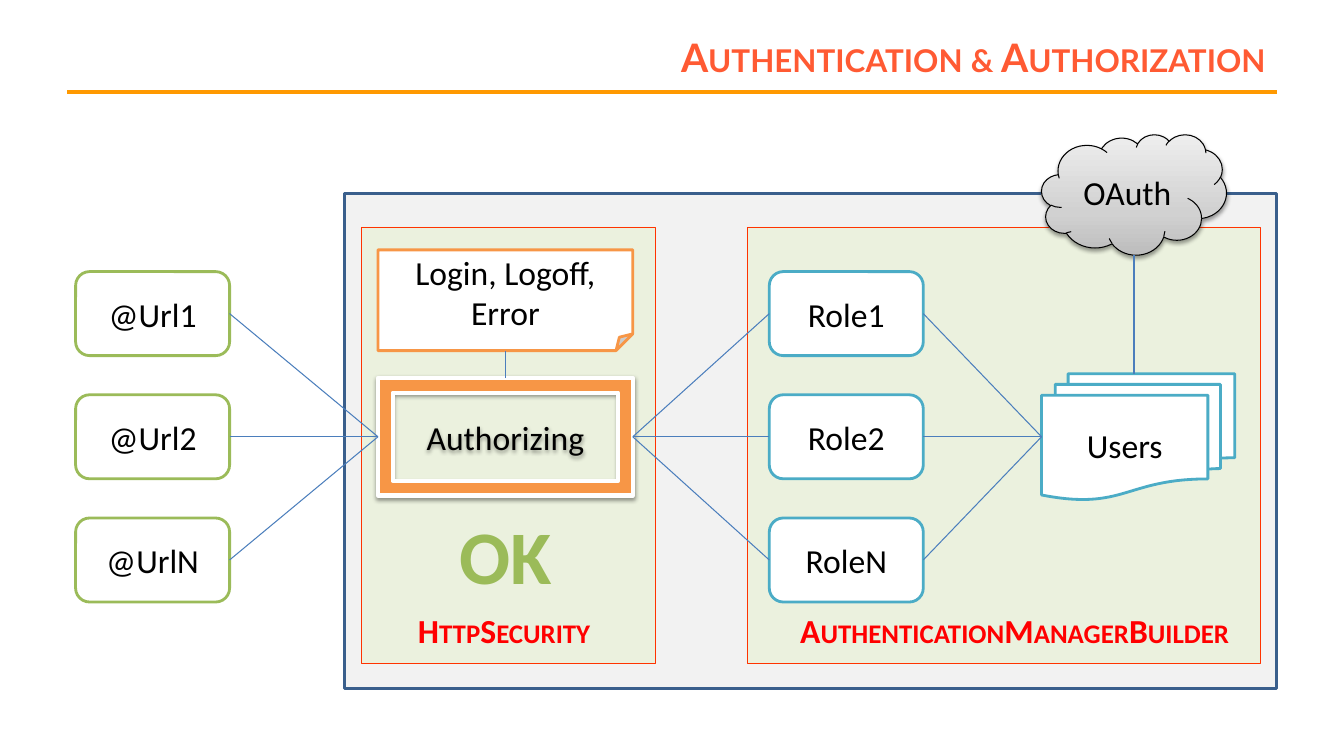
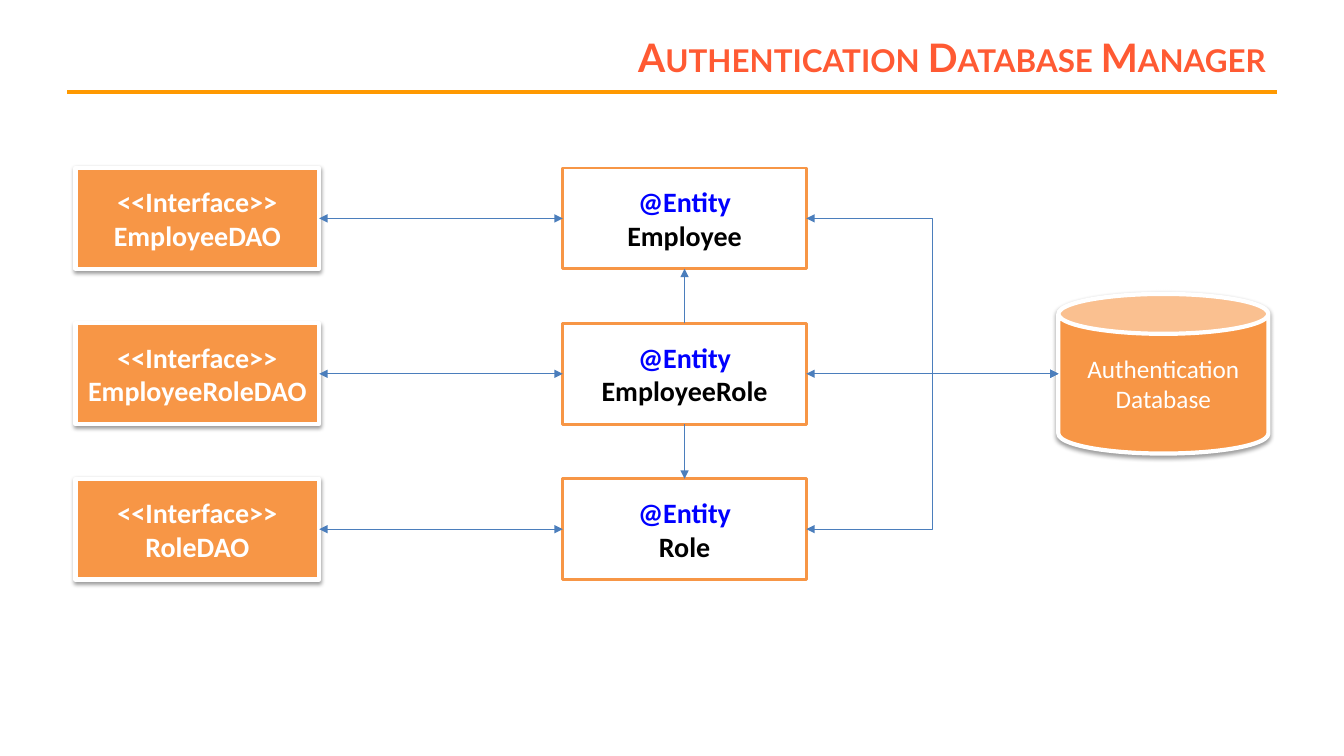
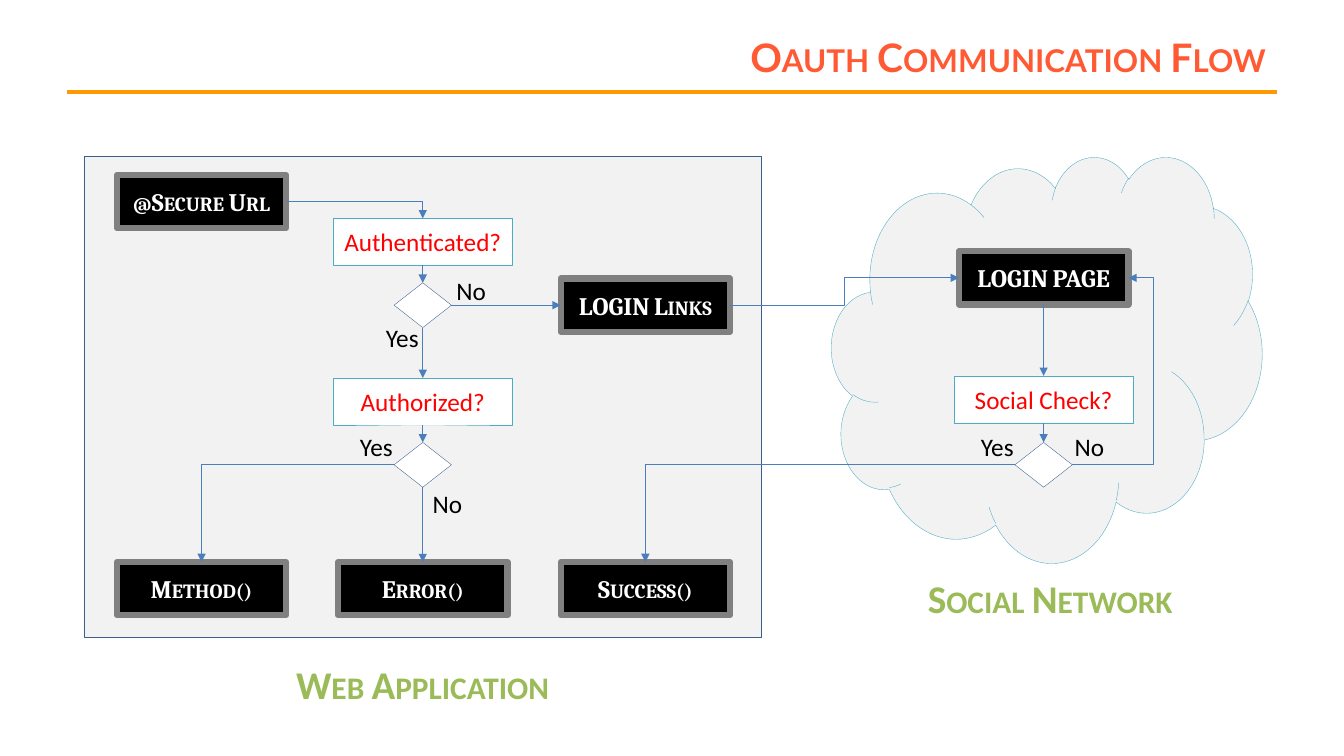
from pptx import Presentation
from pptx.dml.color import RGBColor
from pptx.enum import shapes, text
from pptx.oxml import ns, xmlchemy
from pptx.util import Pt
from copy import deepcopy

WHITE = RGBColor(0xFF, 0xFF, 0xFF)
BLACK = RGBColor(0, 0, 0)
RED = RGBColor(0xFF, 0, 0)
BLUE = RGBColor(0, 0, 0xFF)
VERMILION = RGBColor(0xFF, 0x33, 0)
TITLE_COLOR = RGBColor(0xFF, 0x5A, 0x33)
RULE_COLOR = RGBColor(0xFF, 0x99, 0)
ORANGE = RGBColor(0xF7, 0x96, 0x46)
GREEN = RGBColor(0x9B, 0xBB, 0x59)
PALE_GREEN = RGBColor(0xEB, 0xF1, 0xDE)
TEAL = RGBColor(0x4B, 0xAC, 0xC6)
NAVY = RGBColor(0x3A, 0x5F, 0x8C)
LINK_COLOR = RGBColor(0x4B, 0x7E, 0xBC)
PALE_GRAY = RGBColor(0xF2, 0xF2, 0xF2)
GRAY = RGBColor(0x80, 0x80, 0x80)
CLOUD_STOPS = (
    (0, RGBColor(0xBD, 0xBD, 0xBD)),
    (0.35, RGBColor(0xD1, 0xD1, 0xD1)),
    (1, RGBColor(0xEE, 0xEE, 0xEE)),
)

KIND = shapes.MSO_SHAPE
STRAIGHT = shapes.MSO_CONNECTOR.STRAIGHT
ELBOW = shapes.MSO_CONNECTOR.ELBOW
ALIGN = text.PP_ALIGN
TOP, LEFT, BOTTOM, RIGHT = range(4)
CAN_LEFT_SITE = "2"


def points(*values):
    """Turn numbers into lengths in points."""
    return [Pt(value) for value in values]


def add_child(parent, tag, **attributes):
    """Append a drawing element with the given attributes."""
    child = xmlchemy.OxmlElement(tag)
    for name, value in attributes.items():
        child.set(name, str(value))
    parent.append(child)
    return child


def add_run(paragraph, words, size, color, bold=False, small_caps=False, font="Calibri"):
    """Add one formatted run to a paragraph."""
    run = paragraph.add_run()
    run.text = words
    run.font.name = font
    run.font.size = Pt(size)
    run.font.bold = bold
    run.font.color.rgb = color
    if small_caps:
        run._r.get_or_add_rPr().set("cap", "small")


def add_box(slide, kind, box, fill, line, width, lines=(), shadow=False, **style):
    """Add a preset shape with centred lines of (words, colour)."""
    shape = slide.shapes.add_shape(kind, *points(*box))
    shape.fill.solid()
    shape.fill.fore_color.rgb = fill
    shape.line.color.rgb = line
    shape.line.width = Pt(width)
    shape.shadow.inherit = False
    if shadow:
        effects = shape._element.spPr.find(ns.qn("a:effectLst"))
        outer = add_child(effects, "a:outerShdw", blurRad=Pt(3.1), dist=Pt(1.6),
                          dir=5400000, rotWithShape=0)
        add_child(add_child(outer, "a:srgbClr", val=BLACK), "a:alpha", val=38000)
    frame = shape.text_frame
    frame.vertical_anchor = text.MSO_ANCHOR.MIDDLE
    for index, (words, color) in enumerate(lines):
        paragraph = frame.add_paragraph() if index else frame.paragraphs[0]
        paragraph.alignment = ALIGN.CENTER
        add_run(paragraph, words, color=color, **style)
    return shape


def add_label(slide, box, words, size, color, align=ALIGN.LEFT, **style):
    """Add an unwrapped text box."""
    frame = slide.shapes.add_textbox(*points(*box)).text_frame
    frame.word_wrap = False
    frame.paragraphs[0].alignment = align
    add_run(frame.paragraphs[0], words, size, color, **style)


def style_connector(connector, color=LINK_COLOR, width=0.75, head=False, tail=False):
    """Set the line and arrowheads of a connector and drop its shadow."""
    connector.line.color.rgb = color
    connector.line.width = Pt(width)
    outline = connector.line._get_or_add_ln()
    if head:
        add_child(outline, "a:headEnd", type="triangle")
    if tail:
        add_child(outline, "a:tailEnd", type="triangle")
    add_child(connector._element.spPr, "a:effectLst")


def link(slide, start, start_side, end, end_side, kind=STRAIGHT, corner=False,
         bend=None, **style):
    """Join the sides of two shapes, with one corner or a bend if asked."""
    connector = slide.shapes.add_connector(kind, 0, 0, 0, 0)
    connector.begin_connect(start, start_side)
    connector.end_connect(end, end_side)
    if end.auto_shape_type == KIND.CAN:
        next(connector._element.iter(ns.qn("a:endCxn"))).set("idx", CAN_LEFT_SITE)
    geometry = connector._element.spPr.find(ns.qn("a:prstGeom"))
    if corner:
        geometry.set("prst", "bentConnector2")
    if bend:
        guides = geometry.find(ns.qn("a:avLst"))
        add_child(guides, "a:gd", name="adj1", fmla=f"val {round(bend * 100000)}")
    style_connector(connector, **style)


def prepare_layout(presentation):
    """Place the title and the rule on the title-only layout."""
    layout = presentation.slide_layouts[5]
    title = layout.placeholders[0]
    title.left, title.top, title.width, title.height = points(176, 21.5, 735.5, 38)
    return layout


def add_rule(slide):
    """Draw the title rule and move it to the layout all slides share."""
    rule = slide.shapes.add_connector(STRAIGHT, *points(48, 66, 912, 66))
    style_connector(rule, RULE_COLOR, 3)
    slide.slide_layout.shapes.element.append(rule._element)


def add_titled_slide(presentation, layout, words):
    """Add a slide with a right-aligned title."""
    slide = presentation.slides.add_slide(layout)
    frame = slide.shapes.title.text_frame
    frame.auto_size = text.MSO_AUTO_SIZE.NONE
    frame.vertical_anchor = text.MSO_ANCHOR.MIDDLE
    frame.paragraphs[0].alignment = ALIGN.RIGHT
    add_run(frame.paragraphs[0], words, 28, TITLE_COLOR, True, True, "Lato")
    return slide


def add_stack(slide, left, top, names, line):
    """Add a column of rounded boxes."""
    return [
        add_box(slide, KIND.ROUNDED_RECTANGLE, (left, top + 88 * row, 110, 60),
                WHITE, line, 2, [(name, BLACK)], size=24)
        for row, name in enumerate(names)
    ]


def add_security_panel(slide, left, top):
    """Add the HttpSecurity panel and return its authorizing frame."""
    add_box(slide, KIND.RECTANGLE, (left, top, 210, 312), PALE_GREEN, VERMILION, 0.25)
    authorizing = add_box(slide, KIND.FRAME, (left + 12, top + 108, 182, 84), ORANGE, WHITE, 3,
                          [("Authorizing", BLACK)], shadow=True, size=24)
    pages = add_box(slide, KIND.FOLDED_CORNER, (left + 12, top + 16.5, 182, 72), WHITE,
                    ORANGE, 2, [("Login, Logoff, Error", BLACK)], size=24)
    link(slide, authorizing, TOP, pages, BOTTOM)
    add_label(slide, (left + 62.5, top + 198, 81, 73), "OK", 54, GREEN, ALIGN.CENTER, bold=True)
    add_label(slide, (left + 33.5, top + 270, 139, 36), "HttpSecurity", 24, RED,
              bold=True, small_caps=True)
    return authorizing


def add_builder_panel(slide, left, top):
    """Add the roles and users panel and return its role boxes."""
    add_box(slide, KIND.RECTANGLE, (left, top, 366, 312), PALE_GREEN, VERMILION, 0.25)
    roles = add_stack(slide, left + 15.5, top + 32, ("Role1", "Role2", "RoleN"), TEAL)
    users = add_box(slide, KIND.FLOWCHART_MULTIDOCUMENT, (left + 210, top + 105, 138, 90),
                    WHITE, TEAL, 2, [("Users", BLACK)], size=24)
    for role in roles:
        link(slide, users, LEFT, role, RIGHT)
    cloud = add_box(slide, KIND.CLOUD, (left + 210, top - 66, 132, 86), WHITE, BLACK, 0.75,
                    [("OAuth", BLACK)], shadow=True, size=24)
    fill_cloud(cloud)
    middle = left + 276
    sign_in = slide.shapes.add_connector(STRAIGHT, *points(middle, top + 20, middle, top + 105))
    style_connector(sign_in)
    add_label(slide, (left + 30.5, top + 270, 323, 36), "AuthenticationManagerBuilder", 24, RED,
              bold=True, small_caps=True)
    return roles


def fill_cloud(cloud):
    """Give the cloud its three-stop vertical gradient."""
    cloud.fill.gradient()
    cloud.fill.gradient_angle = 90
    stop_list = next(cloud._element.spPr.iter(ns.qn("a:gsLst")))
    stop_list.append(deepcopy(stop_list[0]))
    for stop, (position, color) in zip(cloud.fill.gradient_stops, CLOUD_STOPS):
        stop.position = position
        stop.color.rgb = color


def build_authorization(slide):
    """Lay out the authentication and authorization slide."""
    add_box(slide, KIND.RECTANGLE, (246, 138, 666, 354), PALE_GRAY, NAVY, 2)
    urls = add_stack(slide, 54, 194, ("@Url1", "@Url2", "@UrlN"), GREEN)
    authorizing = add_security_panel(slide, 258, 162)
    roles = add_builder_panel(slide, 534, 162)
    for url, role in zip(urls, roles):
        link(slide, url, RIGHT, authorizing, LEFT)
        link(slide, authorizing, RIGHT, role, LEFT)


def add_entity_row(slide, left, top, name):
    """Add an interface box joined to its entity box and return the entity."""
    interface = add_box(slide, KIND.RECTANGLE, (left, top, 174, 72), ORANGE, WHITE, 3,
                        [("<<Interface>>", WHITE), (name + "DAO", WHITE)],
                        shadow=True, size=20, bold=True)
    entity = add_box(slide, KIND.RECTANGLE, (left + 348, top, 174, 72), WHITE, ORANGE, 2,
                     [("@Entity", BLUE), (name, BLACK)], size=20, bold=True)
    link(slide, interface, RIGHT, entity, LEFT, head=True, tail=True)
    return entity


def build_database(slide):
    """Lay out the database manager slide."""
    names = ("Employee", "EmployeeRole", "Role")
    entities = [add_entity_row(slide, 54, 120 + 111 * row, name)
                for row, name in enumerate(names)]
    database = add_box(slide, KIND.CAN, (756, 210, 150, 114), ORANGE, WHITE, 3,
                       [("Authentication Database", WHITE)], shadow=True, size=18)
    employee, employee_role, role = entities
    for entity, kind in zip(entities, (ELBOW, STRAIGHT, ELBOW)):
        link(slide, entity, RIGHT, database, LEFT, kind, head=True, tail=True)
    link(slide, employee_role, TOP, employee, BOTTOM, tail=True)
    link(slide, employee_role, BOTTOM, role, TOP, tail=True)


def add_step(slide, left, top, words):
    """Add a black step box."""
    return add_box(slide, KIND.RECTANGLE, (left, top, 121, 38), BLACK, GRAY, 4.5,
                   [(words, WHITE)], size=18, bold=True, small_caps=True, font="Cambria")


def add_decision(slide, center, top, words, gap=12.5):
    """Add a question above its diamond and return both."""
    question = add_box(slide, KIND.RECTANGLE, (center - 64, top, 128, 33.5), WHITE, TEAL, 0.25,
                       [(words, RED)], size=18)
    diamond = add_box(slide, KIND.FLOWCHART_DECISION,
                      (center - 20.5, top + 33.5 + gap, 41, 32), WHITE, NAVY, 0.25)
    link(slide, question, BOTTOM, diamond, TOP, tail=True)
    return question, diamond


def add_answer(slide, left, top, words):
    """Add a Yes or No label."""
    add_label(slide, (left, top, 38 if words == "Yes" else 36, 29), words, 18, BLACK)


def add_web_application(slide, left, top):
    """Add the web application region and return its login and success steps."""
    add_box(slide, KIND.RECTANGLE, (left, top, 484, 344), PALE_GRAY, NAVY, 0.25)
    secure = add_step(slide, left + 23.5, top + 13.5, "@Secure Url")
    links = add_step(slide, left + 340.5, top + 87.5, "LOGIN Links")
    method, error, success = [
        add_step(slide, left + offset, top + 290, words)
        for offset, words in ((23.5, "Method()"), (181.5, "Error()"), (340.5, "Success()"))
    ]
    authenticated, known = add_decision(slide, left + 242, top + 44.5, "Authenticated?")
    authorized, allowed = add_decision(slide, left + 242, top + 158.5, "Authorized?")
    link(slide, secure, RIGHT, authenticated, TOP, ELBOW, corner=True, tail=True)
    link(slide, known, RIGHT, links, LEFT, tail=True)
    link(slide, known, BOTTOM, authorized, TOP, tail=True)
    link(slide, allowed, LEFT, method, TOP, ELBOW, corner=True, tail=True)
    link(slide, allowed, BOTTOM, error, TOP, tail=True)
    for x, y, words in ((208.5, 115.5, "Yes"), (259, 81.5, "No"),
                        (190, 193, "Yes"), (242, 234, "No")):
        add_answer(slide, left + x, top + y, words)
    add_label(slide, (left + 142.5, top + 356.5, 199, 41), "Web Application", 28, GREEN,
              ALIGN.CENTER, bold=True, small_caps=True)
    return links, success


def add_social_network(slide, left, top):
    """Add the social network region and return its login page and diamond."""
    login = add_step(slide, left + 91, top + 68, "LOGIN PAGE")
    check, passed = add_decision(slide, left + 151.5, top + 157, "Social Check?", 14)
    link(slide, login, BOTTOM, check, TOP, tail=True)
    link(slide, passed, RIGHT, login, RIGHT, ELBOW, bend=1.45, tail=True)
    add_answer(slide, left + 99.5, top + 193, "Yes")
    add_answer(slide, left + 166.5, top + 193, "No")
    add_label(slide, (left + 60.5, top + 295.5, 191.5, 41), "Social Network", 28, GREEN,
              ALIGN.CENTER, bold=True, small_caps=True)
    return login, passed


def build_flow(slide):
    """Lay out the communication flow slide."""
    add_box(slide, KIND.CLOUD, (594, 111.5, 307.5, 290), PALE_GRAY, TEAL, 0.25)
    links, success = add_web_application(slide, 60, 111.5)
    login, passed = add_social_network(slide, 594, 111.5)
    link(slide, links, RIGHT, login, LEFT, ELBOW, tail=True)
    link(slide, passed, LEFT, success, TOP, ELBOW, corner=True, tail=True)


def main():
    """Build and save the presentation."""
    presentation = Presentation()
    presentation.slide_width, presentation.slide_height = points(960, 540)
    layout = prepare_layout(presentation)
    pages = (
        ("Authentication & Authorization", build_authorization),
        ("Authentication Database Manager", build_database),
        ("Oauth Communication Flow", build_flow),
    )
    for index, (title, build) in enumerate(pages):
        slide = add_titled_slide(presentation, layout, title)
        if index == 0:
            add_rule(slide)
        build(slide)
    presentation.save("out.pptx")


if __name__ == "__main__":
    main()
